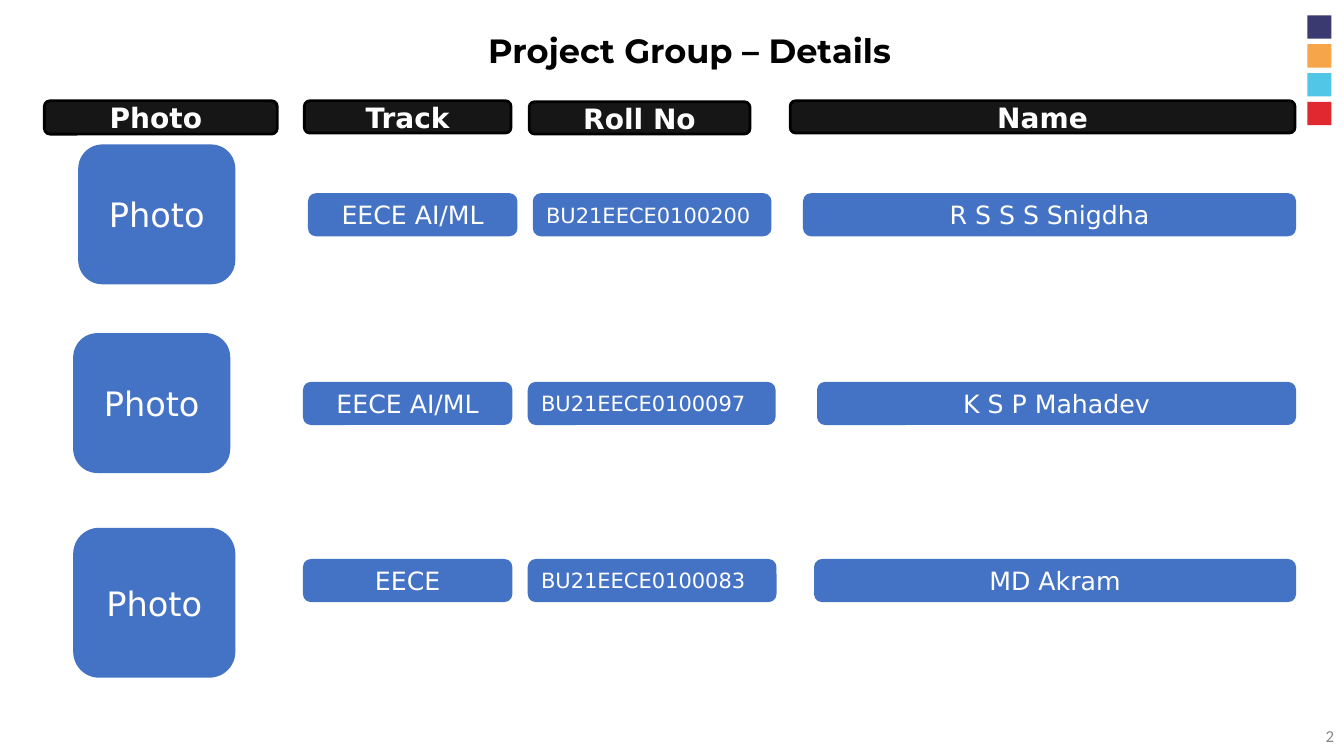
from pptx import Presentation
from pptx.dml.color import RGBColor
from pptx.enum.shapes import MSO_SHAPE
from pptx.enum.text import MSO_ANCHOR, PP_ALIGN
from pptx.util import Pt

RECTANGLE, ROUNDED = MSO_SHAPE.RECTANGLE, MSO_SHAPE.ROUNDED_RECTANGLE
TOP, MIDDLE = MSO_ANCHOR.TOP, MSO_ANCHOR.MIDDLE
LEFT, CENTER, RIGHT = PP_ALIGN.LEFT, PP_ALIGN.CENTER, PP_ALIGN.RIGHT
TITLE_ONLY = 5

BLACK, WHITE, GREY = "000000", "FFFFFF", "888888"
HEADER_FILL, CARD_FILL = "171616", "4472C4"
ACCENTS = ["3A3A70", "F7A54B", "51C6E7", "E12730"]

RIGHT_EDGE = 924.8
HEADER_HEIGHT, PILL_HEIGHT = 23, 28.8
TRACK_WIDTH, TRACK_TO_ROLL = 147.6, 160.6

# Text, left, top, width, height
HEADERS = [
    ("Photo ", 31.7, 72, 166.3, 23.8),
    ("Track", 217.4, 72, TRACK_WIDTH, HEADER_HEIGHT),
    ("Roll No", 378, 72.7, 157.7, HEADER_HEIGHT),
    ("Name", 564.5, 72, 360.5, HEADER_HEIGHT),
]
# Photo box, pill top, track left, roll width, name left, track, roll, name
MEMBERS = [
    ((56.9, 104.2, 110.2, 97.9), 139, 221, 168.5, 574.6,
     "EECE AI/ML", "BU21EECE0100200", "R S S S Snigdha"),
    ((53.3, 239, 110.2, 97.9), 273.8, 217.4, 175, 584.6,
     "EECE AI/ML", "BU21EECE0100097", "K S P Mahadev"),
    ((53.3, 378, 113.8, 105.1), 400.3, 217.4, 175.7, 582.5,
     "EECE", "BU21EECE0100083", "MD Akram"),
]


def color(hex_value):
    return RGBColor.from_string(hex_value)


def write(shape, text, size, font="DejaVu Sans", ink=WHITE, bold=False,
          align=CENTER, anchor=MIDDLE):
    frame = shape.text_frame
    frame.word_wrap = True
    frame.vertical_anchor = anchor
    paragraph = frame.paragraphs[0]
    paragraph.alignment = align
    run = paragraph.add_run()
    run.text = text
    run.font.size = Pt(size)
    run.font.name = font
    run.font.bold = bold
    run.font.color.rgb = color(ink)


class SlideBuilder:
    def __init__(self, presentation):
        self.slide = presentation.slides.add_slide(
            presentation.slide_layouts[TITLE_ONLY])

    def title(self, text, left, top, width, height):
        shape = self.slide.shapes.title
        shape.left, shape.top = Pt(left), Pt(top)
        shape.width, shape.height = Pt(width), Pt(height)
        write(shape, text, 24, font="Montserrat", ink=BLACK, bold=True, anchor=TOP)

    def box(self, kind, left, top, width, height, fill, line=None):
        shape = self.slide.shapes.add_shape(
            kind, Pt(left), Pt(top), Pt(width), Pt(height))
        shape.shadow.inherit = False
        shape.fill.solid()
        shape.fill.fore_color.rgb = color(fill)
        if line:
            shape.line.color.rgb = color(line)
            shape.line.width = Pt(2)
        else:
            shape.line.fill.background()
        return shape

    def header(self, text, *place):
        write(self.box(ROUNDED, *place, HEADER_FILL, BLACK), text, 20, bold=True)

    def card(self, text, *place, size=18, align=CENTER):
        shape = self.box(ROUNDED, *place, CARD_FILL, CARD_FILL)
        write(shape, text, size, align=align)

    def label(self, text, left, top, width, height, size, **text_format):
        shape = self.slide.shapes.add_textbox(
            Pt(left), Pt(top), Pt(width), Pt(height))
        write(shape, text, size, **text_format)


def main():
    presentation = Presentation()
    presentation.slide_width, presentation.slide_height = Pt(960), Pt(540)
    builder = SlideBuilder(presentation)

    # Corner accents and title
    for index, accent in enumerate(ACCENTS):
        builder.box(RECTANGLE, 933.8, 11 + 20.6 * index, 17.3, 16.7, accent)
    builder.title("Project Group – Details", 78.5, 18, 828, 39)

    # Column headers
    for header in HEADERS:
        builder.header(*header)

    # One row per group member
    for photo, top, track_left, roll_width, name_left, track, roll, name in MEMBERS:
        builder.card("Photo", *photo, size=24)
        builder.card(track, track_left, top, TRACK_WIDTH, PILL_HEIGHT)
        builder.card(roll, track_left + TRACK_TO_ROLL, top, roll_width, PILL_HEIGHT,
                     size=15, align=LEFT)
        builder.card(name, name_left, top, RIGHT_EDGE - name_left, PILL_HEIGHT)

    # Slide number
    builder.label("2", 744, 511.2, 216, 28.8, 12,
                  font="Calibri", ink=GREY, align=RIGHT)

    presentation.save("out.pptx")


if __name__ == "__main__":
    main()
